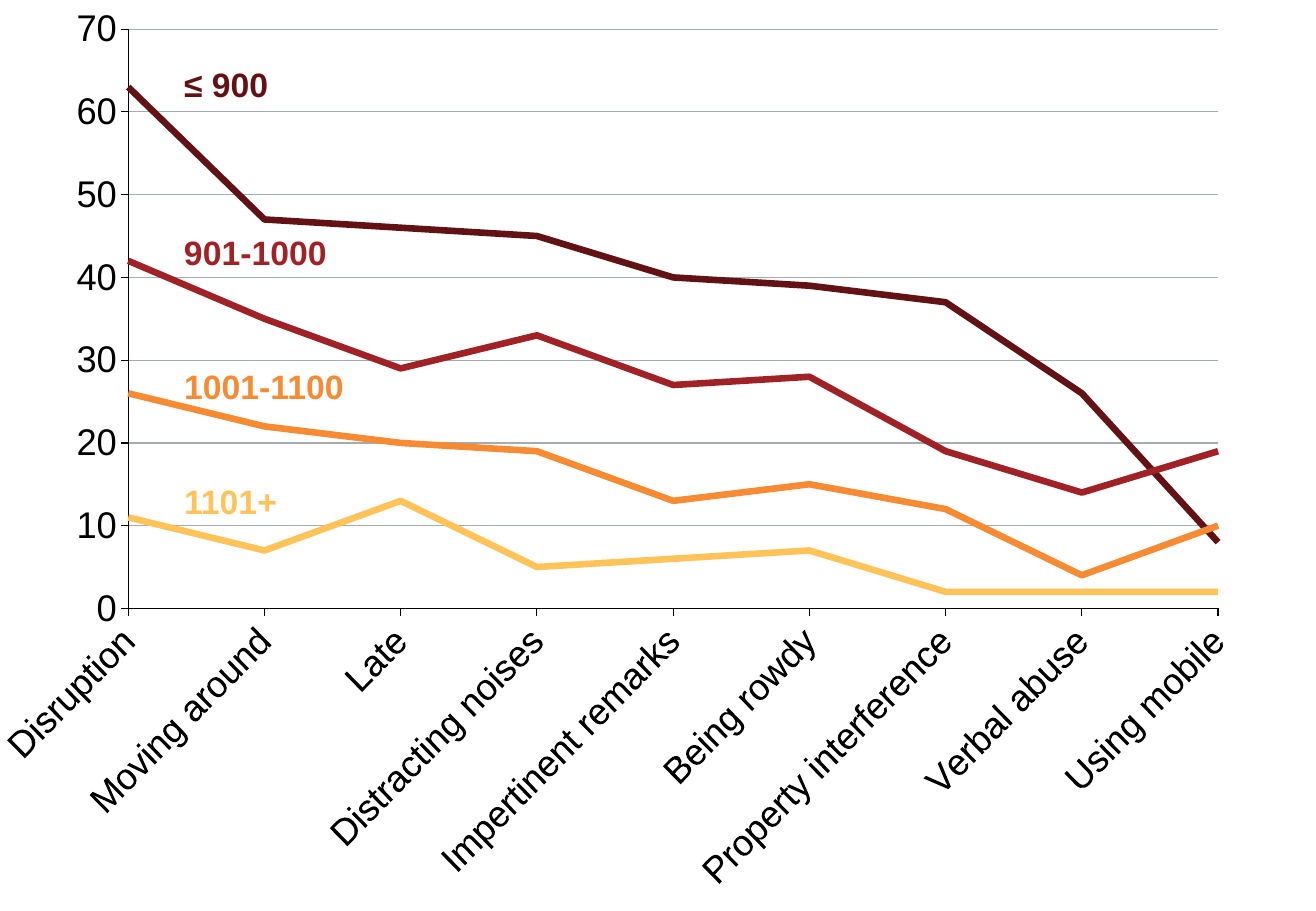
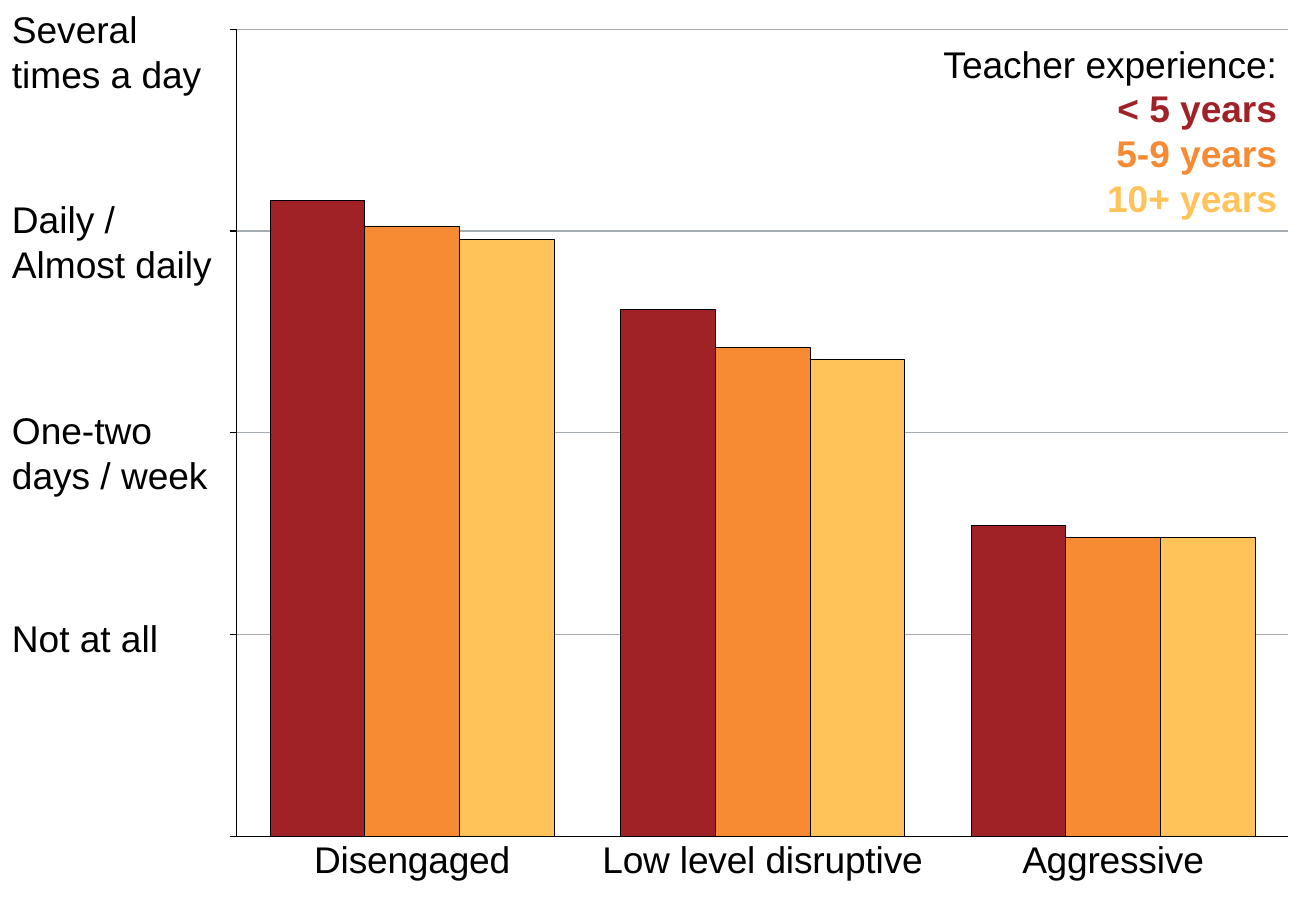
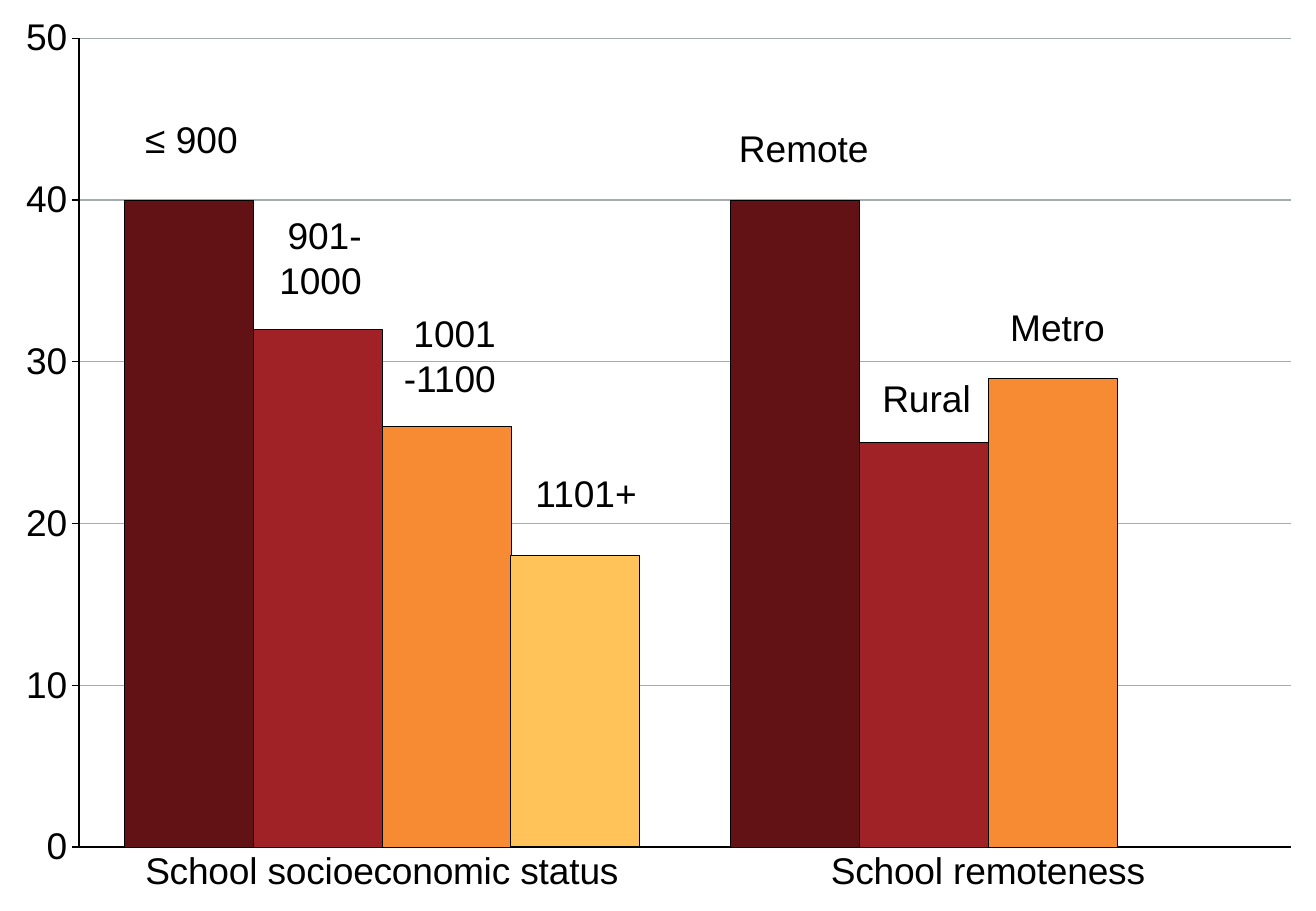
"""Build three chart slides on student behaviour in schools."""
from dataclasses import dataclass
from typing import Any, NamedTuple, Optional

from lxml import etree
from pptx import Presentation
from pptx import util as u
from pptx.chart import data as chart_data
from pptx.dml.color import RGBColor
from pptx.enum import chart as charts
from pptx.enum import text
from pptx.oxml import ns

WIDTH, HEIGHT = 780, 540
FONT = "Arial"
BLACK = RGBColor(0x00, 0x00, 0x00)
GRID = RGBColor(0xA4, 0xAB, 0xB1)
MAROON = RGBColor(0x62, 0x12, 0x14)
RED = RGBColor(0xA0, 0x22, 0x26)
ORANGE = RGBColor(0xF6, 0x8B, 0x33)
YELLOW = RGBColor(0xFF, 0xC3, 0x5A)

LEFT, CENTER, RIGHT = text.PP_ALIGN.LEFT, text.PP_ALIGN.CENTER, text.PP_ALIGN.RIGHT
LINE = charts.XL_CHART_TYPE.LINE
COLUMN = charts.XL_CHART_TYPE.COLUMN_CLUSTERED
TICK = charts.XL_TICK_MARK
TICK_LABEL = charts.XL_TICK_LABEL_POSITION


class TextLine(NamedTuple):
    text: str
    color: RGBColor = BLACK
    bold: bool = False


class Series(NamedTuple):
    color: RGBColor
    values: tuple[Optional[int], ...]
    outline: float = 0.25


@dataclass(frozen=True)
class Label:
    left: float
    top: float
    width: float
    height: float
    lines: tuple[TextLine, ...]
    align: Any = LEFT
    size: float = 22
    wrap: bool = False


@dataclass(frozen=True)
class ChartSlide:
    kind: Any
    categories: tuple[str, ...]
    series: tuple[Series, ...]
    plot_area: tuple[float, float, float, float]
    maximum: float
    major_unit: float
    labels: tuple[Label, ...]
    value_labels: bool = True


def plain(*words: str) -> tuple[TextLine, ...]:
    return tuple(TextLine(word) for word in words)


def series_label(top: float, width: float, words: str, color: RGBColor, wrap: bool = False) -> Label:
    return Label(102, top, width, 31.5, (TextLine(words, color, True),), size=20, wrap=wrap)


def scale_label(top: float, height: float, *words: str) -> Label:
    return Label(0, top, 135, height, plain(*words), wrap=True)


def bar_label(left: float, top: float, width: float, *words: str, align: Any = RIGHT) -> Label:
    return Label(left, top, width, 7 + 26.7 * len(words), plain(*words), align)


SLIDES = (
    ChartSlide(
        LINE,
        ("Disruption", "Moving around", "Late", "Distracting noises", "Impertinent remarks",
         "Being rowdy", "Property interference", "Verbal abuse", "Using mobile"),
        (
            Series(MAROON, (63, 47, 46, 45, 40, 39, 37, 26, 8)),
            Series(RED, (42, 35, 29, 33, 27, 28, 19, 14, 19)),
            Series(ORANGE, (26, 22, 20, 19, 13, 15, 12, 4, 10)),
            Series(YELLOW, (11, 7, 13, 5, 6, 7, 2, 2, 2)),
        ),
        (0.077, 0.032, 0.847, 0.636), 70, 10,
        (
            series_label(34.5, 65, "≤ 900", MAROON),
            series_label(134, 100, "901-1000", RED),
            series_label(213, 157, "1001-1100", ORANGE, wrap=True),
            series_label(281.5, 70, "1101+", YELLOW),
        ),
    ),
    ChartSlide(
        COLUMN,
        ("Disengaged", "Low level disruptive", "Aggressive"),
        (
            Series(RED, (100, 83, 49)),
            Series(ORANGE, (96, 77, 47)),
            Series(YELLOW, (94, 75, 47)),
        ),
        (0.18, 0.032, 0.799, 0.886), 127, 127 / 4,
        (
            scale_label(0.5, 60.5, "Several times a day"),
            scale_label(113, 60.5, "Daily /", "Almost daily"),
            scale_label(238, 60.5, "One-two days / week"),
            scale_label(361, 34, "Not at all"),
            Label(549, 21, 215, 114, (
                TextLine("Teacher experience:"),
                TextLine("< 5 years", RED, True),
                TextLine("5-9 years", ORANGE, True),
                TextLine("10+ years", YELLOW, True),
            ), RIGHT, wrap=True),
        ),
        value_labels=False,
    ),
    ChartSlide(
        COLUMN,
        ("School socioeconomic status", "School remoteness"),
        (
            Series(MAROON, (40, 40)),
            Series(RED, (32, 25)),
            Series(ORANGE, (26, 29)),
            Series(YELLOW, (18, None), 0.75),
        ),
        (0.06, 0.042, 0.921, 0.888), 50, 10,
        (
            bar_label(78.5, 65.5, 70, "≤ 900", align=CENTER),
            bar_label(157.5, 122.5, 64, "901-", "1000"),
            bar_label(231, 180.5, 70, "1001", "-1100"),
            bar_label(309, 275, 75.5, "1101+"),
            bar_label(430, 70.5, 92, "Remote"),
            bar_label(515, 219, 67.5, "Rural"),
            bar_label(590.5, 177, 71.5, "Metro"),
        ),
    ),
)


def apply_format(target: Any, values: dict[str, Any]) -> None:
    for name, value in values.items():
        setattr(target, name, value)


def style_font(font: Any, size: float, color: RGBColor = BLACK, bold: bool = False) -> None:
    apply_format(font, {"name": FONT, "size": u.Pt(size), "bold": bold})
    font.color.rgb = color


def style_line(line: Any, color: RGBColor, width: float) -> None:
    line.width = u.Pt(width)
    line.color.rgb = color


def set_plot_area(chart: Any, area: tuple[float, float, float, float]) -> None:
    plot_area = chart.element.find(".//" + ns.qn("c:plotArea"))
    for old_layout in plot_area.findall(ns.qn("c:layout")):
        plot_area.remove(old_layout)
    layout = etree.Element(ns.qn("c:layout"))
    manual = etree.SubElement(layout, ns.qn("c:manualLayout"))
    settings = {"layoutTarget": "inner", "xMode": "edge", "yMode": "edge",
                **dict(zip("xywh", area))}
    for name, value in settings.items():
        etree.SubElement(manual, ns.qn(f"c:{name}")).set("val", str(value))
    plot_area.insert(0, layout)


def start_lines_on_axis(value_axis: Any) -> None:
    axis_element = value_axis._element
    for old_crossing in axis_element.findall(ns.qn("c:crossBetween")):
        axis_element.remove(old_crossing)
    crossing = etree.Element(ns.qn("c:crossBetween"), val="midCat")
    axis_element.find(ns.qn("c:majorUnit")).addprevious(crossing)


def style_axes(chart: Any, content: ChartSlide) -> None:
    is_line = content.kind == LINE
    category_axis, value_axis = chart.category_axis, chart.value_axis
    apply_format(category_axis, {
        "has_major_gridlines": False,
        "major_tick_mark": TICK.OUTSIDE if is_line else TICK.NONE,
        "minor_tick_mark": TICK.NONE,
    })
    apply_format(value_axis, {
        "has_major_gridlines": True,
        "major_tick_mark": TICK.OUTSIDE,
        "minor_tick_mark": TICK.NONE,
        "minimum_scale": 0,
        "maximum_scale": content.maximum,
        "major_unit": content.major_unit,
        "tick_label_position": TICK_LABEL.NEXT_TO_AXIS if content.value_labels else TICK_LABEL.NONE,
    })
    for axis in (category_axis, value_axis):
        style_line(axis.format.line, BLACK, 0.75)
        style_font(axis.tick_labels.font, 22)
    style_line(value_axis.major_gridlines.format.line, GRID, 0.75)
    if is_line:
        category_axis._element.find(".//" + ns.qn("a:bodyPr")).set("rot", "-2700000")
        start_lines_on_axis(value_axis)


def add_chart(slide: Any, content: ChartSlide) -> None:
    data = chart_data.CategoryChartData()
    data.categories = content.categories
    for number, series in enumerate(content.series, 1):
        data.add_series(f"Series {number}", series.values)
    chart = slide.shapes.add_chart(
        content.kind, 0, 0, u.Pt(WIDTH), u.Pt(HEIGHT), data).chart
    apply_format(chart, {"has_legend": False, "has_title": False})
    style_font(chart.font, 18)
    set_plot_area(chart, content.plot_area)
    style_axes(chart, content)
    plot = chart.plots[0]
    plot.vary_by_categories = False
    if content.kind == COLUMN:
        apply_format(plot, {"gap_width": 70, "overlap": 0})
    for drawn, series in zip(plot.series, content.series):
        if content.kind == LINE:
            drawn.smooth = False
            style_line(drawn.format.line, series.color, 4)
        else:
            drawn.format.fill.solid()
            drawn.format.fill.fore_color.rgb = series.color
            style_line(drawn.format.line, BLACK, series.outline)


def add_label(slide: Any, label: Label) -> None:
    bounds = (label.left, label.top, label.width, label.height)
    frame = slide.shapes.add_textbox(*map(u.Pt, bounds)).text_frame
    apply_format(frame, {"word_wrap": label.wrap,
                         "auto_size": text.MSO_AUTO_SIZE.SHAPE_TO_FIT_TEXT})
    for index, line in enumerate(label.lines):
        paragraph = frame.add_paragraph() if index else frame.paragraphs[0]
        paragraph.alignment = label.align
        run = paragraph.add_run()
        run.text = line.text
        style_font(run.font, label.size, line.color, line.bold)


def main() -> None:
    presentation = Presentation()
    apply_format(presentation, {"slide_width": u.Pt(WIDTH), "slide_height": u.Pt(HEIGHT)})
    for content in SLIDES:
        slide = presentation.slides.add_slide(presentation.slide_layouts[6])
        add_chart(slide, content)
        for label in content.labels:
            add_label(slide, label)
    presentation.save("out.pptx")


if __name__ == "__main__":
    main()
